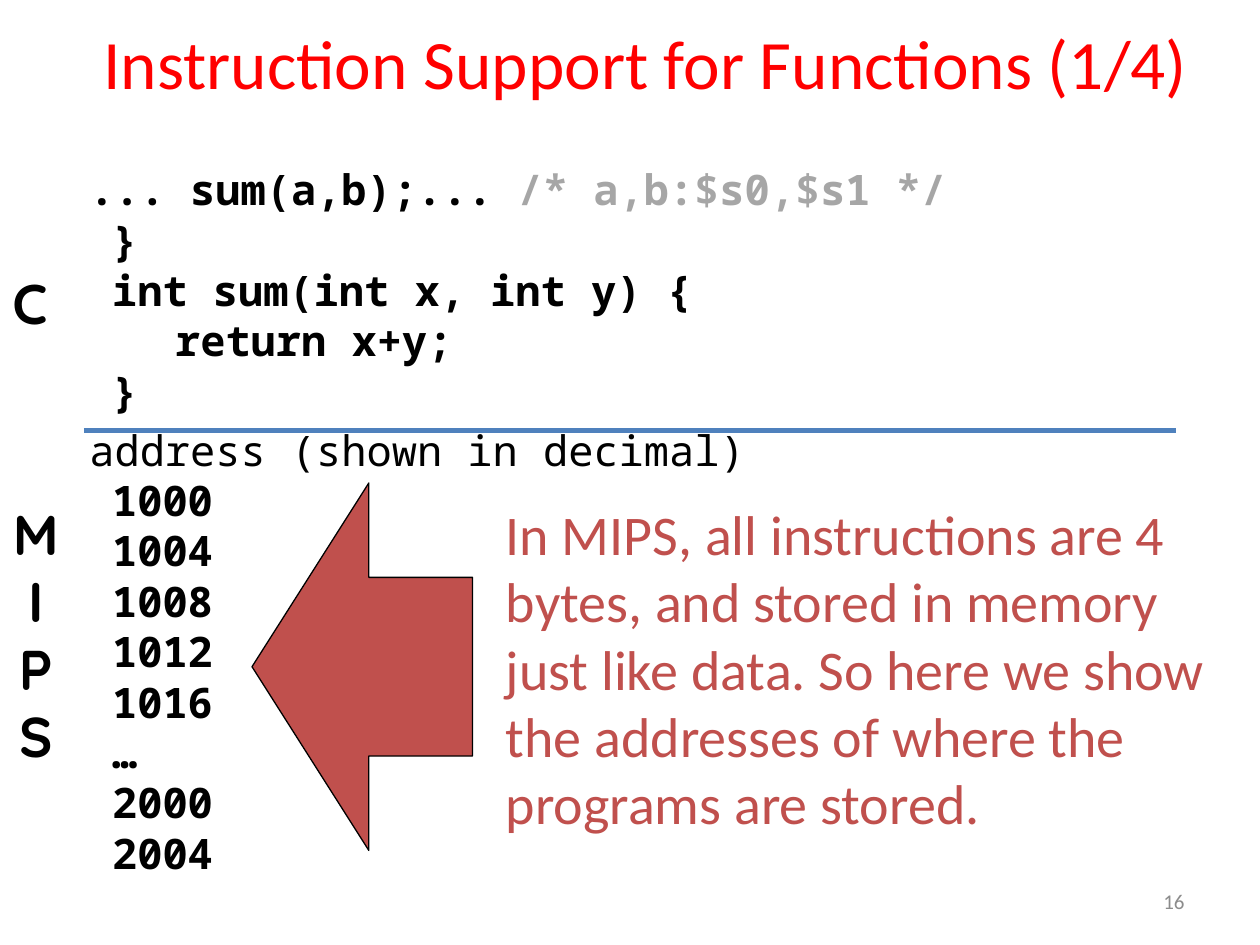
from lxml import etree
from pptx import Presentation
from pptx.dml.color import RGBColor
from pptx.enum import shapes, text
from pptx.oxml.ns import qn
from pptx.util import Pt

BLACK = RGBColor(0x00, 0x00, 0x00)
RED = RGBColor(0xFF, 0x00, 0x00)
BRICK = RGBColor(0xC0, 0x50, 0x4D)
BLUE = RGBColor(0x4F, 0x81, 0xBD)
COMMENT_GRAY = RGBColor(0xA6, 0xA6, 0xA6)
NUMBER_GRAY = RGBColor(0x8C, 0x8C, 0x8C)

SANS, MONO, LABEL = "Calibri", "Noto Sans Mono", "Quicksand"
LINE_PITCH = 1.2
LEFT, CENTER, RIGHT = text.PP_ALIGN.LEFT, text.PP_ALIGN.CENTER, text.PP_ALIGN.RIGHT

CALL = "... sum(a,b);... "
COMMENT = "/* a,b:$s0,$s1 */"
SUM_BODY = ["}", "int sum(int x, int y) {", "\treturn x+y;", "}"]
ADDRESS_HEAD = "address (shown in decimal)"
ADDRESSES = ["1000", "1004", "1008", "1012", "1016", "…", "2000", "2004"]
REMARK = ("In MIPS, all instructions are 4 bytes, and stored in memory just like data. "
          "So here we show the addresses of where the programs are stored.")


def style(run, font, size, color, bold=False):
    """Format one run."""
    run.font.name = font
    run.font.size = Pt(size)
    run.font.bold = bold
    run.font.color.rgb = color


def add_frame(slide, box, wrap=True, anchor=text.MSO_ANCHOR.TOP):
    """Add a text box and return its text frame."""
    frame = slide.shapes.add_textbox(*map(Pt, box)).text_frame
    frame.word_wrap = wrap
    frame.vertical_anchor = anchor
    return frame


def add_label(slide, box, words, font, size, color, bold=False, align=LEFT, **frame_options):
    """Add a text box whose text has a single format."""
    frame = add_frame(slide, box, **frame_options)
    frame.text = words
    for paragraph in frame.paragraphs:
        paragraph.alignment = align
        paragraph.line_spacing = Pt(LINE_PITCH * size)
        for run in paragraph.runs:
            style(run, font, size, color, bold)


def add_listing(paragraph, first_line, more_lines):
    """Fill a hanging paragraph with formatted first-line pieces and bold lines."""
    size = 24
    paragraph.line_spacing = Pt(LINE_PITCH * size)
    paragraph.space_before = Pt(0.2 * size)
    properties = paragraph._p.get_or_add_pPr()
    properties.set("marL", str(Pt(27)))
    properties.set("indent", str(Pt(-13)))
    for words, color, bold in first_line:
        run = paragraph.add_run()
        run.text = words
        style(run, MONO, size, color, bold)
    for line in more_lines:
        paragraph.add_line_break()
        run = paragraph.add_run()
        run.text = line
        style(run, MONO, size, BLACK, True)


def add_code(slide, box):
    """Place the C source and the list of MIPS addresses."""
    frame = add_frame(slide, box)
    add_listing(frame.paragraphs[0],
                [(CALL, BLACK, True), (COMMENT, COMMENT_GRAY, True)], SUM_BODY)
    add_listing(frame.add_paragraph(), [(ADDRESS_HEAD, BLACK, False)], ADDRESSES)


def add_divider(slide, left, top, width):
    """Draw the rule between the C part and the MIPS part."""
    rule = slide.shapes.add_connector(
        shapes.MSO_CONNECTOR.STRAIGHT, Pt(left), Pt(top), Pt(left + width), Pt(top))
    rule.line.color.rgb = BLUE
    rule.line.width = Pt(3)
    etree.SubElement(rule._element.spPr, qn("a:effectLst"))


def add_pointer(slide, box):
    """Draw the arrow that points at the addresses."""
    pointer = slide.shapes.add_shape(shapes.MSO_SHAPE.LEFT_ARROW, *map(Pt, box))
    pointer.shadow.inherit = False
    pointer.adjustments[0] = 0.486
    pointer.adjustments[1] = 0.53
    pointer.fill.solid()
    pointer.fill.fore_color.rgb = BRICK
    pointer.line.color.rgb = BLACK
    pointer.line.width = Pt(0.75)


def build_slide(slide):
    """Place every region of the slide."""
    middle = text.MSO_ANCHOR.MIDDLE
    add_label(slide, (48, 16.5, 642, 37.5), "Instruction Support for Functions (1/4)",
              SANS, 39.6, RED, align=CENTER, anchor=middle)
    add_code(slide, (30, 90, 690, 428))
    add_divider(slide, 48, 246, 624)
    add_label(slide, (0, 150, 36, 46), "C", LABEL, 32, BLACK, bold=True, wrap=False)
    add_label(slide, (-1.5, 282, 44, 163), "M\nI\nP\nS", LABEL, 32, BLACK,
              bold=True, align=CENTER, wrap=False)
    add_label(slide, (282, 282, 438, 201), REMARK, SANS, 32, BRICK)
    add_pointer(slide, (144, 276, 126, 210))
    add_label(slide, (516, 500.5, 168, 29), "16", SANS, 12, NUMBER_GRAY,
              align=RIGHT, anchor=middle)


def main():
    """Create and save the presentation."""
    deck = Presentation()
    deck.slide_width, deck.slide_height = Pt(720), Pt(540)
    build_slide(deck.slides.add_slide(deck.slide_layouts[6]))
    deck.save("out.pptx")


if __name__ == "__main__":
    main()
